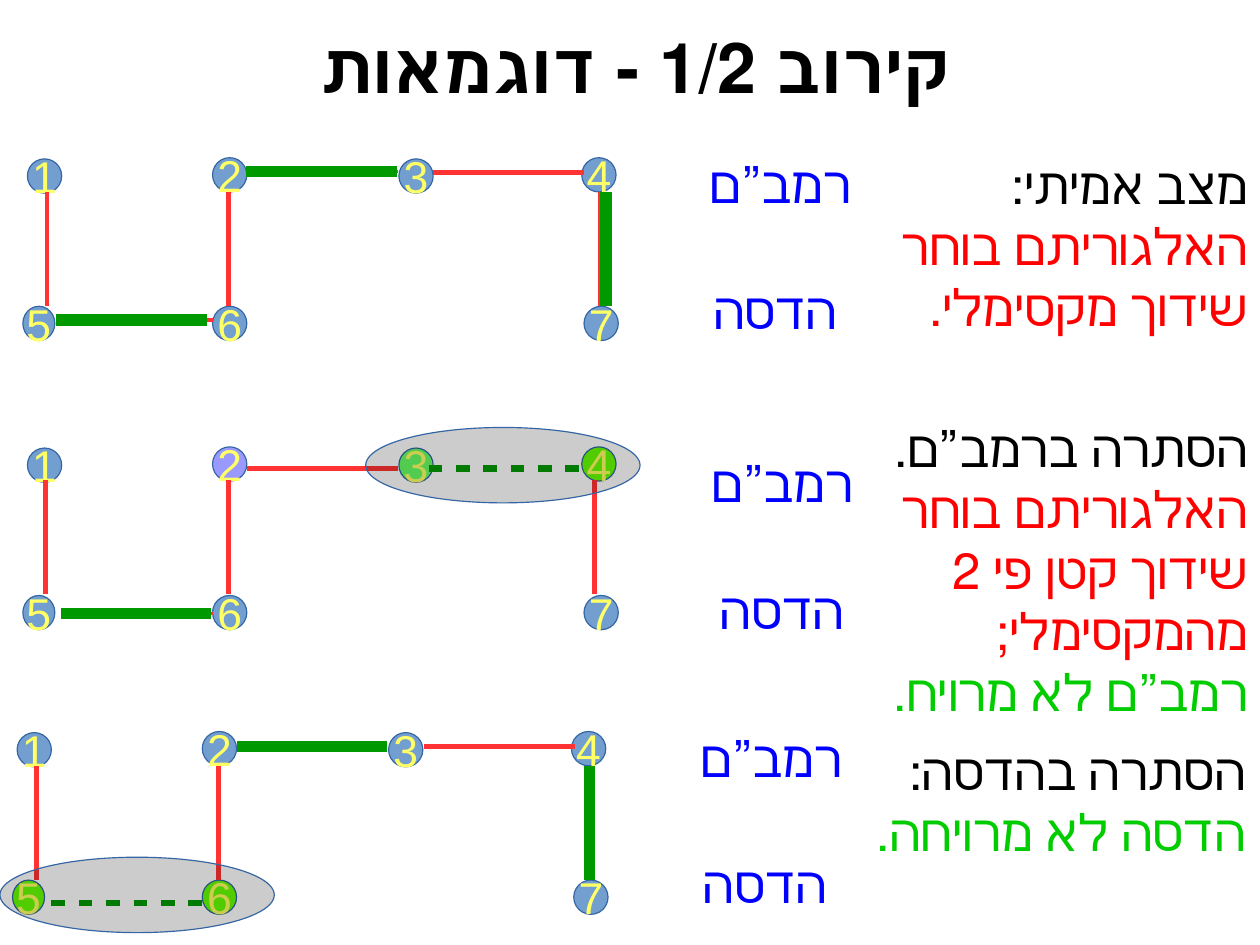
from lxml.etree import SubElement
from pptx import Presentation
from pptx.dml.color import RGBColor
from pptx.enum.shapes import MSO_CONNECTOR, MSO_SHAPE
from pptx.enum.text import MSO_ANCHOR, PP_ALIGN
from pptx.oxml.ns import qn
from pptx.util import Cm, Inches, Pt

COLORS = {
    "node": "729FCF", "outline": "3465A4", "digit": "FFFF66",
    "hidden": "66FF00", "mint": "66FF66", "lilac": "9999FF",
    "edge": "FF3333", "match": "009900", "black": "000000",
    "blue": "0000FF", "red": "FF0000", "green": "00CC00",
}
COLUMN, ROW, LEFT, TOP, SIZE = 1.62, 1.3, 0.24, 1.38, 0.3
NODES = {1: (0, 0), 2: (1, 0), 3: (2, 0), 4: (3, 0), 5: (0, 1), 6: (1, 1), 7: (3, 1)}
NODE_NUDGES = {1: (0, 0.01), 3: (0.01, 0.01), 4: (-0.01, 0), 5: (-0.04, 0), 7: (0.01, 0)}
STROKES = {"edge": 2.89, "match": 7.2, "dash": 4.31, "hair": 0}
HAIRLINES = {(2, 3): "hair", (4, 7): "hair", (5, 6): "hair"}
PANELS = [
    {
        "origin": (0, 0), "fills": {}, "hairlines": HAIRLINES,
        "edges": {(1, 5): "edge", (2, 6): "edge", (3, 4): "edge",
                  (2, 3): "match", (5, 6): "match", (4, 7): "match"},
        "nudges": {(1, 5): (0.02, 0), (2, 6): (-0.01, 0), (2, 3): (-0.01, -0.03),
                   (3, 4): (0.01, -0.02), (5, 6): (-0.05, -0.03), (4, 7): (0.05, 0)},
        "labels": [("רמב”ם", 6.11, 1.29), ("הדסה", 6.14, 2.39)],
        "note": (7.3, 1.3, 3.72, 2.3),
        "paragraphs": [[("מצב אמיתי:", "black")],
                       [("האלגוריתם בוחר שידוך מקסימלי.", "red")]],
    },
    {
        "origin": (0, 2.53), "hairlines": {(5, 6): "hair"},
        "fills": {2: "lilac", 3: "mint", 4: "hidden"},
        "edges": {(1, 5): "edge", (2, 6): "edge", (2, 3): "edge",
                  (3, 4): "dash", (4, 7): "edge", (5, 6): "match"},
        "nudges": {(1, 5): (0.01, -0.01), (2, 6): (-0.01, -0.01), (2, 3): (0, 0.04),
                   (3, 4): (-0.03, 0.04), (4, 7): (-0.05, -0.01), (5, 6): (-0.01, 0.01)},
        "labels": [("רמב”ם", 6.13, 3.9), ("הדסה", 6.2, 5.01)],
        "note": (7.4, 3.6, 3.62, 3.09),
        "paragraphs": [[("הסתרה ברמב”ם. ", "black"),
                        ("האלגוריתם בוחר שידוך קטן פי 2 מהמקסימלי; ", "red"),
                        ("רמב”ם לא מרויח.", "green")]],
        "cloud": (3.2, 3.74),
    },
    {
        "origin": (-0.09, 5.02), "hairlines": {},
        "fills": {5: "hidden", 6: "hidden"},
        "edges": {(1, 5): "edge", (2, 6): "edge", (3, 4): "edge",
                  (2, 3): "match", (5, 6): "dash", (4, 7): "match"},
        "nudges": {(1, 5): (0.02, 0), (2, 6): (-0.01, 0), (2, 3): (0, -0.02),
                   (3, 4): (0.02, -0.02), (5, 6): (0, 0.05)},
        "labels": [("רמב”ם", 6.03, 6.31), ("הדסה", 6.05, 7.41)],
        "note": (7.5, 6.42, 3.5, 1.85),
        "paragraphs": [[("הסתרה בהדסה: ", "black"), ("הדסה לא מרויחה.", "green")]],
        "cloud": (0, 7.5),
    },
]


def write(para, text, size, color, align, bold=False):
    para.alignment = align
    span = para.add_run()
    span.text = text
    for name, value in {"size": Pt(size), "name": "Arial", "bold": bold}.items():
        setattr(span.font, name, value)
    span.font.color.rgb = RGBColor.from_string(COLORS[color])


def add_ellipse(page, left, top, width, height, color):
    oval = page.shapes.add_shape(MSO_SHAPE.OVAL, Inches(left), Inches(top), Inches(width), Inches(height))
    oval.shadow.inherit = False
    oval.fill.solid()
    oval.fill.fore_color.rgb = RGBColor.from_string(COLORS[color])
    oval.line.color.rgb = RGBColor.from_string(COLORS["outline"])
    oval.line.width = Pt(0)
    return oval


deck = Presentation()
deck.slide_width, deck.slide_height = Cm(28), Cm(21)
page = deck.slides.add_slide(deck.slide_layouts[5])

title = page.shapes.title
title_place = {"left": 0.1, "top": 0.15, "width": 10.92, "height": 0.85}
for name, value in title_place.items():
    setattr(title, name, Inches(value))
for side in ("left", "top", "right", "bottom"):
    setattr(title.text_frame, f"margin_{side}", 0)
title.text_frame.vertical_anchor = MSO_ANCHOR.MIDDLE
heading = title.text_frame.paragraphs[0]
write(heading, "קירוב 1/2 - דוגמאות", 44, "black", PP_ALIGN.CENTER, True)
heading._p.get_or_add_pPr().set("rtl", "1")

for panel in PANELS:
    shift_x, shift_y = panel["origin"]
    for number, (column, row) in NODES.items():
        nudge_x, nudge_y = NODE_NUDGES.get(number, (0, 0))
        left = LEFT + shift_x + column * COLUMN + nudge_x
        top = TOP + shift_y + row * ROW + nudge_y
        width = 0.28 if number == 5 else SIZE
        node = add_ellipse(page, left, top, width, SIZE, panel["fills"].get(number, "node"))
        node.text_frame.word_wrap = False
        node.text_frame.vertical_anchor = MSO_ANCHOR.MIDDLE
        write(node.text_frame.paragraphs[0], str(number), 28, "digit", PP_ALIGN.CENTER)

    for (start, end), style in [*panel["hairlines"].items(), *panel["edges"].items()]:
        nudge_x, nudge_y = panel["nudges"].get((start, end), (0, 0))
        (column, row), (end_column, end_row) = NODES[start], NODES[end]
        middle_x = LEFT + SIZE / 2 + shift_x + (0 if style == "hair" else nudge_x)
        middle_y = TOP + SIZE / 2 + shift_y + nudge_y
        gap_x = SIZE / 2 * (end_column - column)
        gap_y = SIZE / 2 * (end_row - row)
        line = page.shapes.add_connector(
            MSO_CONNECTOR.STRAIGHT,
            Inches(middle_x + column * COLUMN + gap_x), Inches(middle_y + row * ROW + gap_y),
            Inches(middle_x + end_column * COLUMN - gap_x), Inches(middle_y + end_row * ROW - gap_y))
        color = "match" if style in ("match", "dash") else "edge"
        line.line.color.rgb = RGBColor.from_string(COLORS[color])
        line.line.width = Pt(STROKES[style])
        if style == "dash":
            dashes = SubElement(line.line._get_or_add_ln(), qn("a:custDash"))
            SubElement(dashes, qn("a:ds"), d="200000", sp="200000")
        SubElement(line._element.spPr, qn("a:effectLst"))

    for hospital, left, top in panel["labels"]:
        label = page.shapes.add_textbox(Inches(left), Inches(top), Inches(2.26), Inches(0.62))
        label.text_frame.word_wrap = True
        write(label.text_frame.paragraphs[0], hospital, 32, "blue", PP_ALIGN.LEFT)

    note = page.shapes.add_textbox(*map(Inches, panel["note"]))
    note.text_frame.word_wrap = True
    note.text_frame.margin_left = 0
    for index, spans in enumerate(panel["paragraphs"]):
        para = note.text_frame.add_paragraph() if index else note.text_frame.paragraphs[0]
        for text, color in spans:
            write(para, text, 32, color, PP_ALIGN.RIGHT)
        para._p.get_or_add_pPr().set("rtl", "1")

    if "cloud" in panel:
        cloud = add_ellipse(page, *panel["cloud"], 2.4, 0.66, "black")
        tint = cloud._element.spPr.find(qn("a:solidFill"))[0]
        SubElement(tint, qn("a:alpha"), val="20000")

deck.save("out.pptx")
